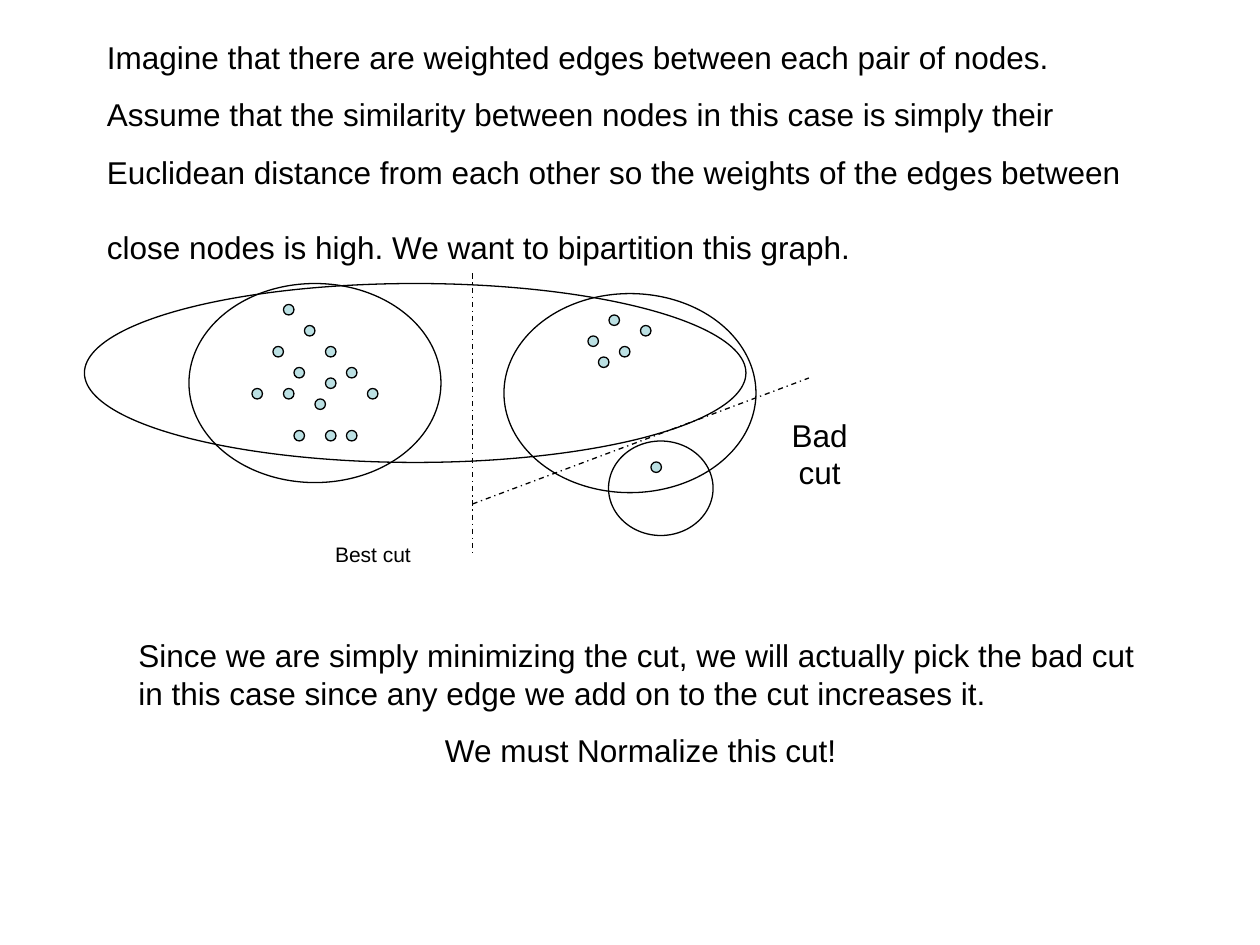
import dataclasses

import pptx
import pptx.dml.color
import pptx.enum.dml
import pptx.enum.shapes
import pptx.enum.text
import pptx.oxml.ns
import pptx.util
from lxml import etree
from pptx.util import Inches

ALIGN = pptx.enum.text.PP_ALIGN


@dataclasses.dataclass(frozen=True)
class Theme:
    font: str = "Arial"
    ink: str = "000000"
    node: str = "BBE0E3"
    body: int = 18
    small: int = 12
    line: float = 0.75
    lead: float = 1.2
    gap: float = 0.625


THEME = Theme()
STEP = 1 / 12

LEFT = [(27, 29), (29, 31), (31, 33), (28, 35), (26, 33), (33, 35), (35, 37),
        (24, 37), (31, 36), (27, 37), (33, 41), (28, 41), (31, 41), (30, 38)]
RIGHT = [(58, 30), (59, 33), (56, 32), (61, 31), (57, 34)]
LONE = [(62, 44)]

INTRO = [
    ("Imagine that there are weighted edges between each pair of nodes.", ALIGN.LEFT),
    ("Assume that the similarity between nodes in this case is simply their", ALIGN.LEFT),
    ("Euclidean distance from each other so the weights of the edges between \n"
     "close nodes is high. We want to bipartition this graph.", ALIGN.LEFT),
]
CLOSE = [
    ("Since we are simply minimizing the cut, we will actually pick the bad cut "
     "in this case since any edge we add on to the cut increases it.", ALIGN.LEFT),
    ("We must Normalize this cut!", ALIGN.CENTER),
]


def color(code):
    return pptx.dml.color.RGBColor.from_string(code)


def add_text(slide, box, paras, size):
    frame = slide.shapes.add_textbox(*map(Inches, box)).text_frame
    frame.word_wrap = True
    frame.auto_size = pptx.enum.text.MSO_AUTO_SIZE.SHAPE_TO_FIT_TEXT
    for i, (text, align) in enumerate(paras):
        para = frame.add_paragraph() if i else frame.paragraphs[0]
        para.alignment = align
        para.space_before = pptx.util.Pt(size * THEME.gap)
        para.line_spacing = pptx.util.Pt(size * THEME.lead)
        for j, part in enumerate(text.split("\n")):
            if j:
                para.add_line_break()
            run = para.add_run()
            run.text = part
            run.font.name = THEME.font
            run.font.size = pptx.util.Pt(size)
            run.font.color.rgb = color(THEME.ink)


def add_oval(slide, box, fill=None):
    oval = slide.shapes.add_shape(
        pptx.enum.shapes.MSO_SHAPE.OVAL, *map(Inches, box))
    oval.shadow.inherit = False
    if fill:
        oval.fill.solid()
        oval.fill.fore_color.rgb = color(fill)
    else:
        oval.fill.background()
    oval.line.color.rgb = color(THEME.ink)
    oval.line.width = pptx.util.Pt(THEME.line)


def add_nodes(slide, spots):
    for col, row in spots:
        add_oval(slide, (col * STEP, row * STEP, STEP, STEP), THEME.node)


def add_cut(slide, start, end):
    cut = slide.shapes.add_connector(
        pptx.enum.shapes.MSO_CONNECTOR.STRAIGHT, *map(Inches, start + end))
    cut.line.color.rgb = color(THEME.ink)
    cut.line.width = pptx.util.Pt(THEME.line)
    cut.line.dash_style = pptx.enum.dml.MSO_LINE.DASH_DOT
    props = cut.element.find(pptx.oxml.ns.qn("p:spPr"))
    etree.SubElement(props, pptx.oxml.ns.qn("a:effectLst"))


def main():
    deck = pptx.Presentation()
    deck.slide_width = Inches(10)
    deck.slide_height = Inches(7.5)
    slide = deck.slides.add_slide(deck.slide_layouts[6])

    add_text(slide, (0.75, 0.25, 8.25, 1.92), INTRO, THEME.body)
    add_nodes(slide, LEFT + RIGHT + LONE)
    add_oval(slide, (1.5, 2.25, 2, 1.58))
    add_oval(slide, (4, 2.33, 2, 1.58))
    add_cut(slide, (3.75, 2.17), (3.75, 4.42))
    add_text(slide, (2.25, 4.25, 1.42, 0.3), [("Best cut", ALIGN.CENTER)], THEME.small)
    add_oval(slide, (4.83, 3.5, 0.83, 0.75))
    add_oval(slide, (0.67, 2.25, 5.25, 1.42))
    add_cut(slide, (3.75, 4), (6.42, 3))
    add_text(slide, (6.17, 3.25, 0.67, 0.7), [("Bad cut", ALIGN.CENTER)], THEME.body)
    add_text(slide, (1, 5, 8.17, 1.16), CLOSE, THEME.body)
    deck.save("out.pptx")


if __name__ == "__main__":
    main()
